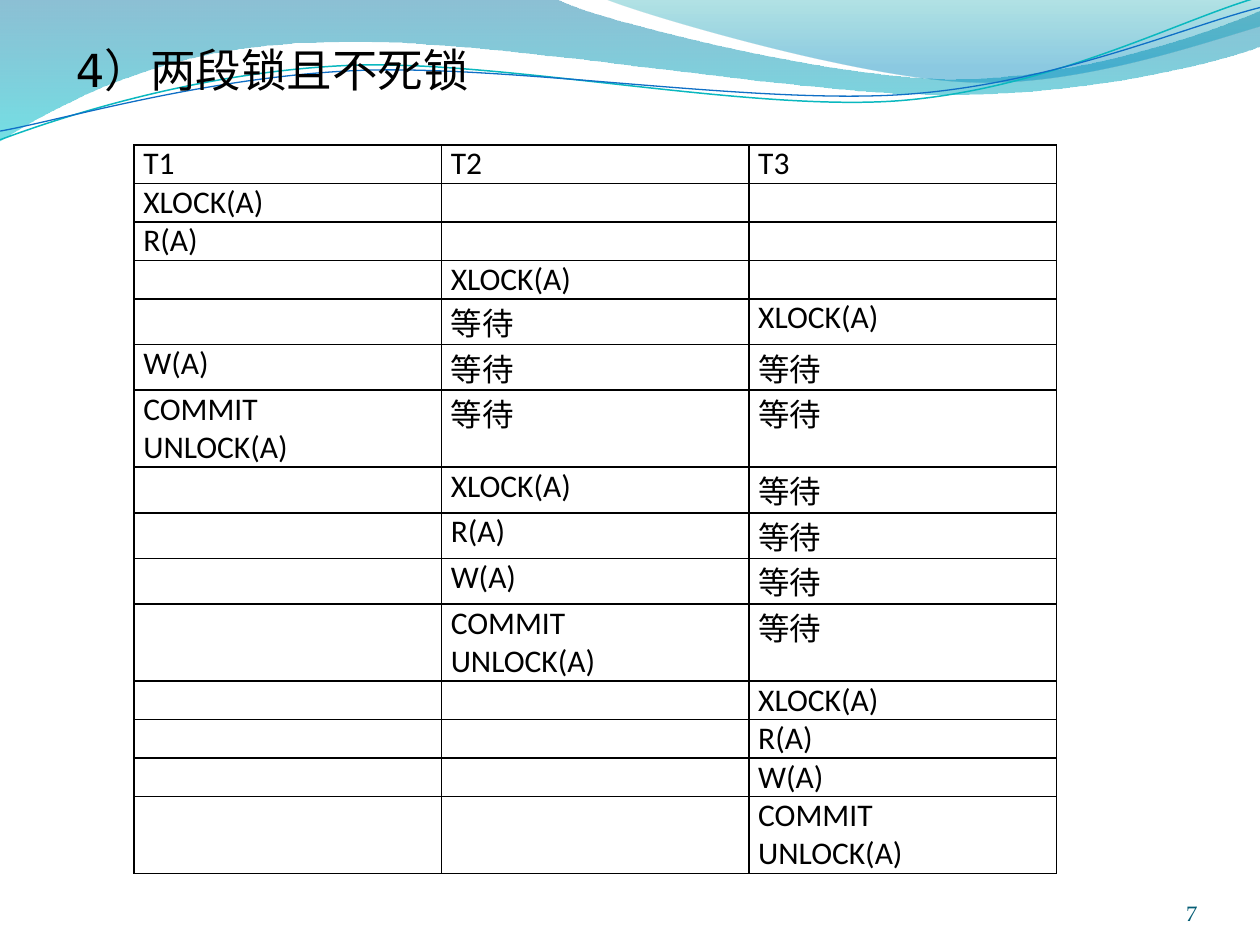
import pptx
import pptx.dml.color
import pptx.enum.text
import pptx.oxml
import pptx.oxml.ns
import pptx.util

Pt = pptx.util.Pt
qn = pptx.oxml.ns.qn
ALIGN = pptx.enum.text.PP_ALIGN
ANCHOR = pptx.enum.text.MSO_ANCHOR
NS = pptx.oxml.ns.nsdecls("a")

UPPER_WAVE = [
    (0, -1), (317, -1),
    (343, 12, 478, 45, 546, 45), (614, 45, 690, 19, 720, 6),
    (721, 26),
    (708, 32, 626, 55, 537, 54), (448, 54, 275, 20, 185, 24),
    (93, 25, 33, 60, -1, 81),
]
RIGHT_WAVE = [
    (345, -1), (366, 8, 491, 45, 554, 47),
    (616, 50, 692, 23, 720, 15), (720, 0),
]
TEAL_LINE = [
    (0, 79.9), (34.6, 67, 113.8, 41, 199.4, 37.4),
    (284.4, 33.8, 427, 64, 513.4, 57.6), (599.8, 51, 675.4, 10.8, 718.6, -1.4),
]
BLUE_LINE = [
    (0, 74.9), (33.8, 69, 118, 43.9, 203.8, 40.3),
    (290, 36.7, 430, 59.8, 516.2, 54), (602, 48.2, 677.5, 15, 720, 4.3),
]

WAIT = "等待"
COMMIT = "COMMIT\nUNLOCK(A)"
SCHEDULE = [
    ("T1", "T2", "T3"),
    ("XLOCK(A)", "", ""),
    ("R(A)", "", ""),
    ("", "XLOCK(A)", ""),
    ("", WAIT, "XLOCK(A)"),
    ("W(A)", WAIT, WAIT),
    (COMMIT, WAIT, WAIT),
    ("", "XLOCK(A)", WAIT),
    ("", "R(A)", WAIT),
    ("", "W(A)", WAIT),
    ("", COMMIT, WAIT),
    ("", "", "XLOCK(A)"),
    ("", "", "R(A)"),
    ("", "", "W(A)"),
    ("", "", COMMIT),
]


def rgb(color):
    return pptx.dml.color.RGBColor.from_string(color)


def add_run(p, text, size, font, color="000000"):
    r = p.add_run()
    r.text = text
    r.font.size = Pt(size)
    r.font.name = font
    r.font.color.rgb = rgb(color)


def place(sp, left, top, width, height):
    sp.left, sp.top, sp.width, sp.height = map(Pt, (left, top, width, height))


def bend(sp, line, segment):
    points = "".join(
        f'<a:pt x="{Pt(x) - sp.left}" y="{Pt(y) - sp.top}"/>'
        for x, y in zip(segment[::2], segment[1::2]))
    line.getparent().replace(line, pptx.oxml.parse_xml(
        f'<a:cubicBezTo {NS}>{points}</a:cubicBezTo>'))


def add_curve(s, outline, close):
    ends = [(Pt(segment[-2]), Pt(segment[-1])) for segment in outline]
    builder = s.shapes.build_freeform(*ends[0], scale=1.0)
    builder.add_line_segments(ends[1:], close=close)
    sp = builder.convert_to_shape()
    sp.shadow.inherit = False
    for line, segment in zip(list(sp.element.iter(qn("a:lnTo"))), outline[1:]):
        if len(segment) == 6:
            bend(sp, line, segment)
    return sp


def add_wave(s, outline, stops):
    sp = add_curve(s, outline, True)
    sp.line.fill.background()
    sp.fill.gradient()
    sp.fill.gradient_angle = 270
    for stop, (position, color, alpha) in zip(sp.fill.gradient_stops, stops):
        stop.position = position
        stop.color.rgb = rgb(color)
        clr = next(c for c in sp.element.iter(qn("a:srgbClr"))
                   if c.get("val") == color)
        clr.append(pptx.oxml.parse_xml(f'<a:alpha {NS} val="{alpha * 1000}"/>'))


def add_line(s, outline, color, width):
    sp = add_curve(s, outline, False)
    sp.fill.background()
    sp.line.color.rgb = rgb(color)
    sp.line.width = Pt(width)


def add_title(s, text):
    sp = s.shapes.title
    s.shapes.element.append(sp.element)
    place(sp, 36, 20.5, 648, 102)
    tf = sp.text_frame
    tf.word_wrap = True
    tf.auto_size = pptx.enum.text.MSO_AUTO_SIZE.NONE
    tf.vertical_anchor = ANCHOR.TOP
    p = tf.paragraphs[0]
    p.alignment = ALIGN.LEFT
    add_run(p, text, 26, "DejaVu Sans")


def add_page_number(s, text):
    sp = s.shapes.add_textbox(Pt(624), Pt(500.4), Pt(60), Pt(28.8))
    tf = sp.text_frame
    tf.word_wrap = True
    tf.margin_left = tf.margin_top = tf.margin_right = tf.margin_bottom = 0
    tf.vertical_anchor = ANCHOR.BOTTOM
    p = tf.paragraphs[0]
    p.alignment = ALIGN.RIGHT
    add_run(p, text, 12, "TeX Gyre Pagella", "045D75")


def format_cell(cell, text):
    cell.margin_left = cell.margin_right = Pt(5.4)
    cell.margin_top = cell.margin_bottom = 0
    tcPr = cell._tc.get_or_add_tcPr()
    for side in ("lnL", "lnR", "lnT", "lnB"):
        tcPr.append(pptx.oxml.parse_xml(
            f'<a:{side} {NS} w="{Pt(1)}"><a:solidFill>'
            f'<a:srgbClr val="000000"/></a:solidFill></a:{side}>'))
    cell.fill.background()
    tf = cell.text_frame
    for i, line in enumerate(text.splitlines()):
        p = tf.add_paragraph() if i else tf.paragraphs[0]
        p.alignment = ALIGN.JUSTIFY
        add_run(p, line, 18, "Calibri")


def row_height(texts):
    if COMMIT in texts:
        return 44
    return 26.1 if WAIT in texts else 22


def add_schedule(s, rows, left, top, col_width):
    cols = len(rows[0])
    heights = [row_height(texts) for texts in rows]
    table = s.shapes.add_table(len(rows), cols, Pt(left), Pt(top),
                               Pt(col_width * cols), Pt(sum(heights))).table
    table.first_row = table.horz_banding = False
    for column in table.columns:
        column.width = Pt(col_width)
    for row, height, texts in zip(table.rows, heights, rows):
        row.height = Pt(height)
        for cell, text in zip(row.cells, texts):
            format_cell(cell, text)


def main():
    prs = pptx.Presentation()
    prs.slide_width, prs.slide_height = Pt(720), Pt(540)
    s = prs.slides.add_slide(prs.slide_layouts[5])
    add_wave(s, UPPER_WAVE, [(0, "0074A1", 45), (1, "00C6CF", 55)])
    add_wave(s, RIGHT_WAVE, [(0, "00A1A9", 30), (0.8, "008BBF", 45)])
    add_line(s, TEAL_LINE, "0AB8BF", 0.85)
    add_line(s, BLUE_LINE, "0F6FC6", 0.75)
    add_title(s, "4）两段锁且不死锁")
    add_page_number(s, "7")
    add_schedule(s, SCHEDULE, 76.5, 82.8, 175.7)
    prs.save("out.pptx")


if __name__ == "__main__":
    main()
